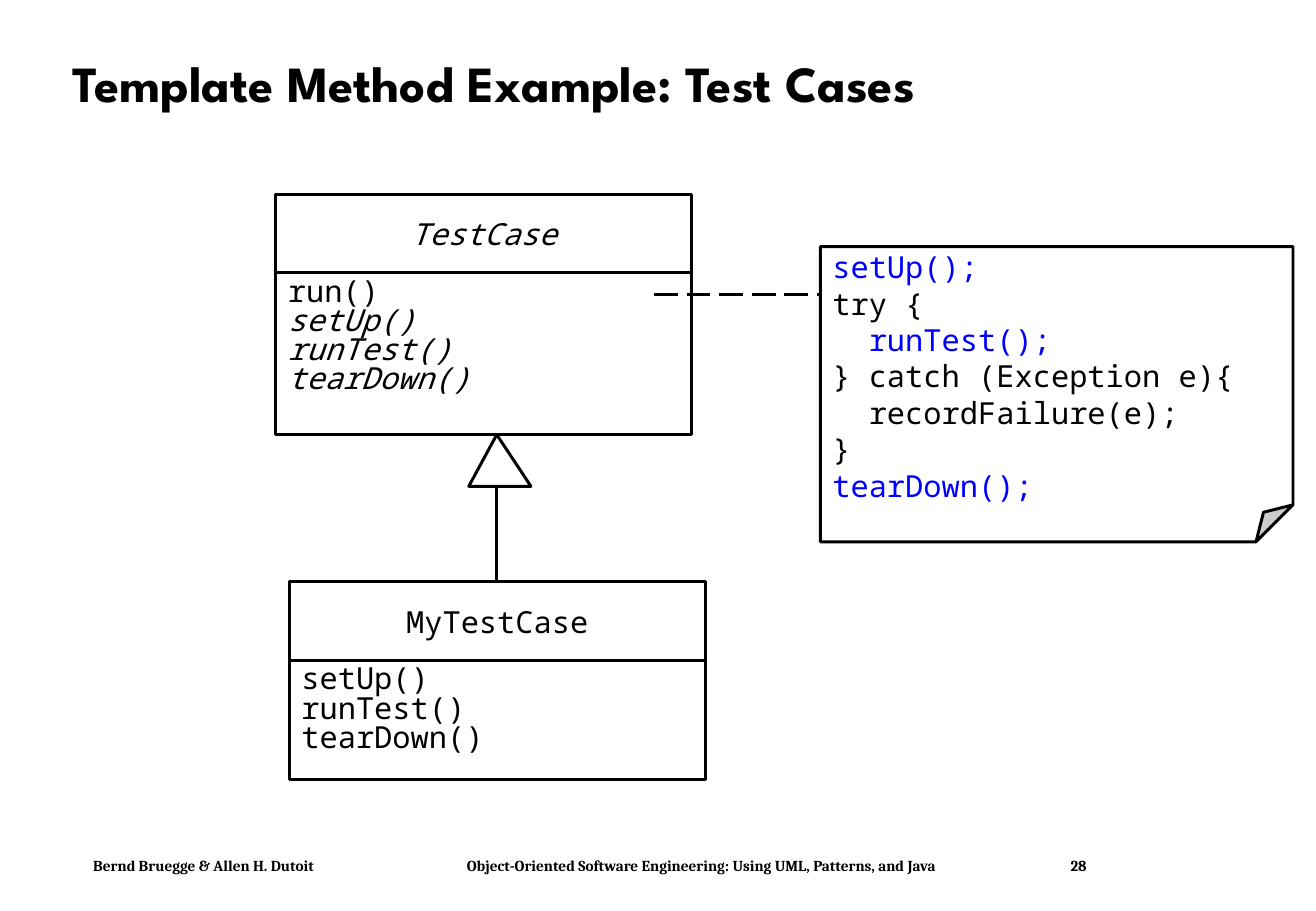
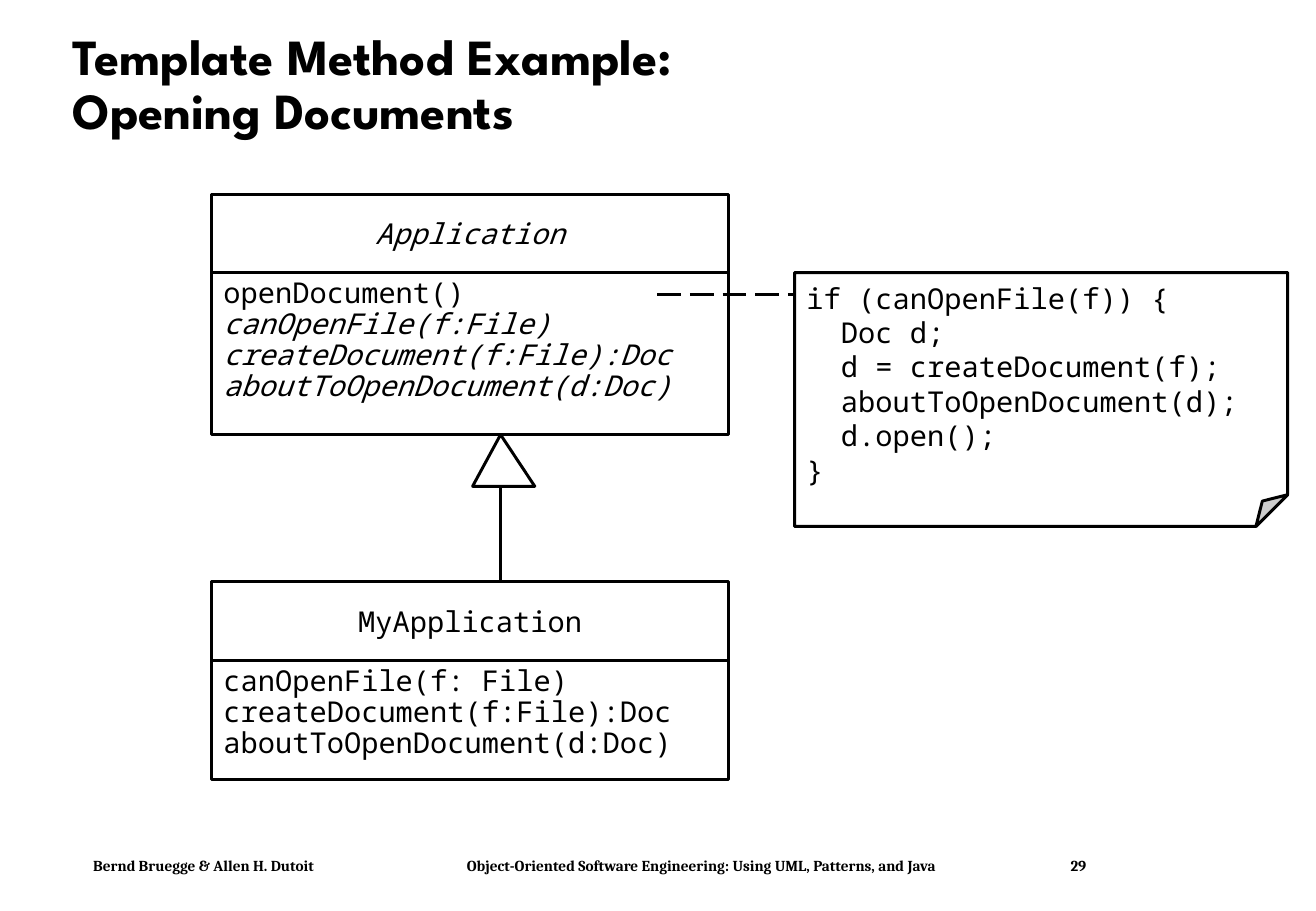
from lxml.etree import SubElement
from pptx import Presentation
from pptx.dml.color import RGBColor
from pptx.enum.dml import MSO_LINE
from pptx.enum.shapes import MSO_CONNECTOR, MSO_SHAPE
from pptx.enum.text import MSO_ANCHOR, PP_ALIGN
from pptx.oxml.ns import qn
from pptx.util import Cm, Pt

BLACK = RGBColor(0, 0, 0)
THEME = {
    "paper": RGBColor(255, 255, 255),
    "ink": BLACK,
    "stroke": Pt(1.75),
    "title": {"name": "League Spartan", "size": Pt(30), "bold": True},
    "footer": {"name": "Cambria", "size": Pt(9), "bold": True},
    "code": {"name": "Noto Sans Mono", "bold": False},
    "colours": {"plain": BLACK, "abstract": BLACK, "call": RGBColor(0, 0, 255)},
}
FRAME = {
    "word_wrap": True,
    "margin_left": Cm(0.25),
    "margin_right": Cm(0.25),
    "margin_top": Cm(0.13),
    "margin_bottom": Cm(0.13),
}
FOOTER = ["Bernd Bruegge & Allen H. Dutoit",
          "Object-Oriented Software Engineering: Using UML, Patterns, and Java"]
FOOTER_TABS = [7.81, 20.43]
HEAD_HEIGHT = 1.64
PARENT_TOP, PARENT_BODY = 4.06, 3.39
CHILD_TOP, CHILD_BODY = 12.17, 2.49
PARENT_BOTTOM = PARENT_TOP + HEAD_HEIGHT + PARENT_BODY
ARROW_WIDTH, ARROW_HEIGHT, ARROW_APEX = 1.3, 1.08, 0.45
NOTE_FOLD = 0.125
LINK_Y = 6.15

SLIDES = [
    {
        "number": 28,
        "title": ["Template Method Example: Test Cases"],
        "code_size": 18,
        "spacing": 0.8,
        "class_width": 8.69,
        "parent": (5.77, "TestCase", [
            ("run()", "plain"), ("setUp()", "abstract"),
            ("runTest()", "abstract"), ("tearDown()", "abstract")]),
        "child": (6.05, "MyTestCase", [
            ("setUp()", "plain"), ("runTest()", "plain"), ("tearDown()", "plain")]),
        "arrow_left": 9.8,
        "link_left": 13.67,
        "note_place": (17.15, 5.16, 9.88, 6.17),
        "note": [
            ("setUp();", "call"), ("try {", "plain"), ("  runTest();", "call"),
            ("} catch (Exception e){", "plain"), ("  recordFailure(e);", "plain"),
            ("}", "plain"), ("tearDown();", "call")],
    },
    {
        "number": 29,
        "title": ["Template Method Example:", "Opening Documents"],
        "code_size": 17,
        "spacing": 0.9,
        "class_width": 10.82,
        "parent": (4.42, "Application", [
            ("openDocument()", "plain"), ("canOpenFile(f:File)", "abstract"),
            ("createDocument(f:File):Doc", "abstract"),
            ("aboutToOpenDocument(d:Doc)", "abstract")]),
        "child": (4.42, "MyApplication", [
            ("canOpenFile(f: File)", "plain"), ("createDocument(f:File):Doc", "plain"),
            ("aboutToOpenDocument(d:Doc)", "plain")]),
        "arrow_left": 9.88,
        "link_left": 13.74,
        "note_place": (16.61, 5.7, 10.31, 5.31),
        "note": [
            ("if (canOpenFile(f)) {", "plain"), ("  Doc d;", "plain"),
            ("  d = createDocument(f);", "plain"),
            ("  aboutToOpenDocument(d);", "plain"),
            ("  d.open();", "plain"), ("}", "plain")],
    },
]


def write(box, lines, font, anchor=MSO_ANCHOR.TOP, align=PP_ALIGN.LEFT, spacing=1.0, tabs=()):
    frame = box.text_frame
    for name, value in {**FRAME, "vertical_anchor": anchor}.items():
        setattr(frame, name, value)
    for index, (text, style) in enumerate(lines):
        para = frame.add_paragraph() if index else frame.paragraphs[0]
        para.alignment = align
        para.line_spacing = spacing
        if tabs:
            tab_list = SubElement(para._p.get_or_add_pPr(), qn("a:tabLst"))
            for position in tabs:
                SubElement(tab_list, qn("a:tab"), pos=str(Cm(position)), algn="l")
        span = para.add_run()
        span.text = text
        for name, value in {**font, "italic": style == "abstract"}.items():
            setattr(span.font, name, value)
        span.font.color.rgb = THEME["colours"][style]


def outline(page, kind, place, filled=False, adjustment=None):
    shape = page.shapes.add_shape(kind, *map(Cm, place))
    shape.shadow.inherit = False
    if adjustment is not None:
        guides = shape._element.spPr.find(qn("a:prstGeom")).get_or_add_avLst()
        for guide in list(guides):
            guides.remove(guide)
        SubElement(guides, qn("a:gd"), name="adj", fmla=f"val {round(adjustment * 100000)}")
    if filled:
        shape.fill.solid()
        shape.fill.fore_color.rgb = THEME["paper"]
    else:
        shape.fill.background()
    shape.line.color.rgb = THEME["ink"]
    shape.line.width = THEME["stroke"]
    return shape


deck = Presentation()
deck.slide_width, deck.slide_height = Cm(27.51), Cm(19.05)

for content in SLIDES:
    page = deck.slides.add_slide(deck.slide_layouts[6])
    code = {**THEME["code"], "size": Pt(content["code_size"])}

    footer = page.shapes.add_textbox(Cm(1.7), Cm(17.78), Cm(23.29), Cm(0.64))
    footer_text = "\t".join([*FOOTER, str(content["number"])])
    write(footer, [(footer_text, "plain")], THEME["footer"], tabs=FOOTER_TABS)

    title = page.shapes.add_textbox(Cm(1.27), Cm(0.61), Cm(24.54), Cm(2.39))
    write(title, [(line, "plain") for line in content["title"]], THEME["title"],
          MSO_ANCHOR.MIDDLE, spacing=0.9)

    note = outline(page, MSO_SHAPE.FOLDED_CORNER, content["note_place"], True, NOTE_FOLD)
    write(note, content["note"], code, MSO_ANCHOR.MIDDLE)

    for role, style, top, body_height in [
        ("parent", "abstract", PARENT_TOP, PARENT_BODY),
        ("child", "plain", CHILD_TOP, CHILD_BODY),
    ]:
        left, class_name, methods = content[role]
        width = content["class_width"]
        head = outline(page, MSO_SHAPE.RECTANGLE, (left, top, width, HEAD_HEIGHT))
        write(head, [(class_name, style)], code, MSO_ANCHOR.MIDDLE, PP_ALIGN.CENTER)
        body = outline(page, MSO_SHAPE.RECTANGLE, (left, top + HEAD_HEIGHT, width, body_height))
        write(body, methods, code, spacing=content["spacing"])

    arrow_left = content["arrow_left"]
    arrow_place = (arrow_left, PARENT_BOTTOM, ARROW_WIDTH, ARROW_HEIGHT)
    outline(page, MSO_SHAPE.ISOSCELES_TRIANGLE, arrow_place, adjustment=ARROW_APEX)

    stem_x = arrow_left + ARROW_WIDTH * ARROW_APEX
    for ends, dash in [
        ((stem_x, CHILD_TOP, stem_x, PARENT_BOTTOM + ARROW_HEIGHT), MSO_LINE.SOLID),
        ((content["link_left"], LINK_Y, content["note_place"][0], LINK_Y), MSO_LINE.LONG_DASH),
    ]:
        line = page.shapes.add_connector(MSO_CONNECTOR.STRAIGHT, *map(Cm, ends))
        line.line.color.rgb = THEME["ink"]
        line.line.width = THEME["stroke"]
        line.line.dash_style = dash
        SubElement(line._element.spPr, qn("a:effectLst"))

deck.save("out.pptx")
